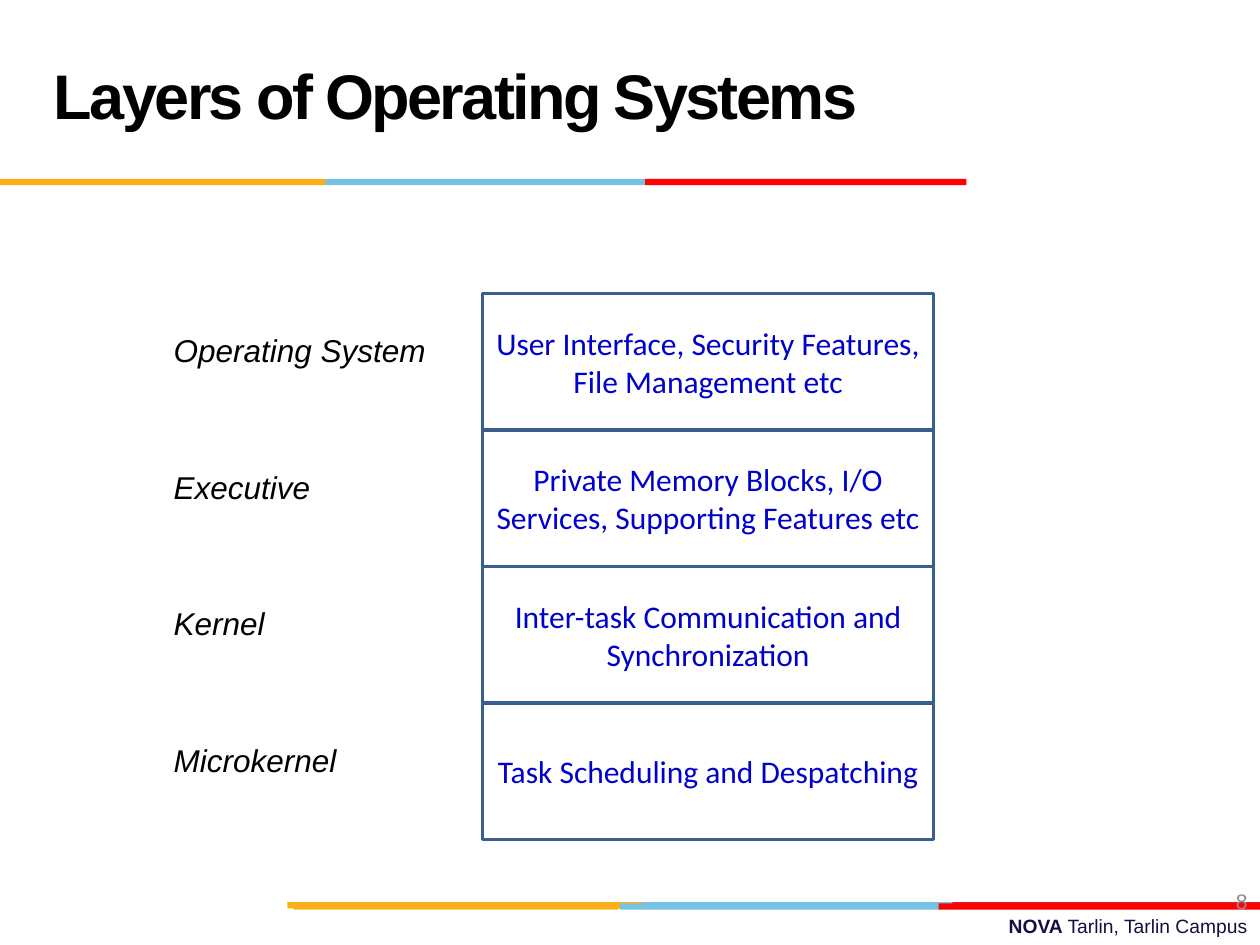
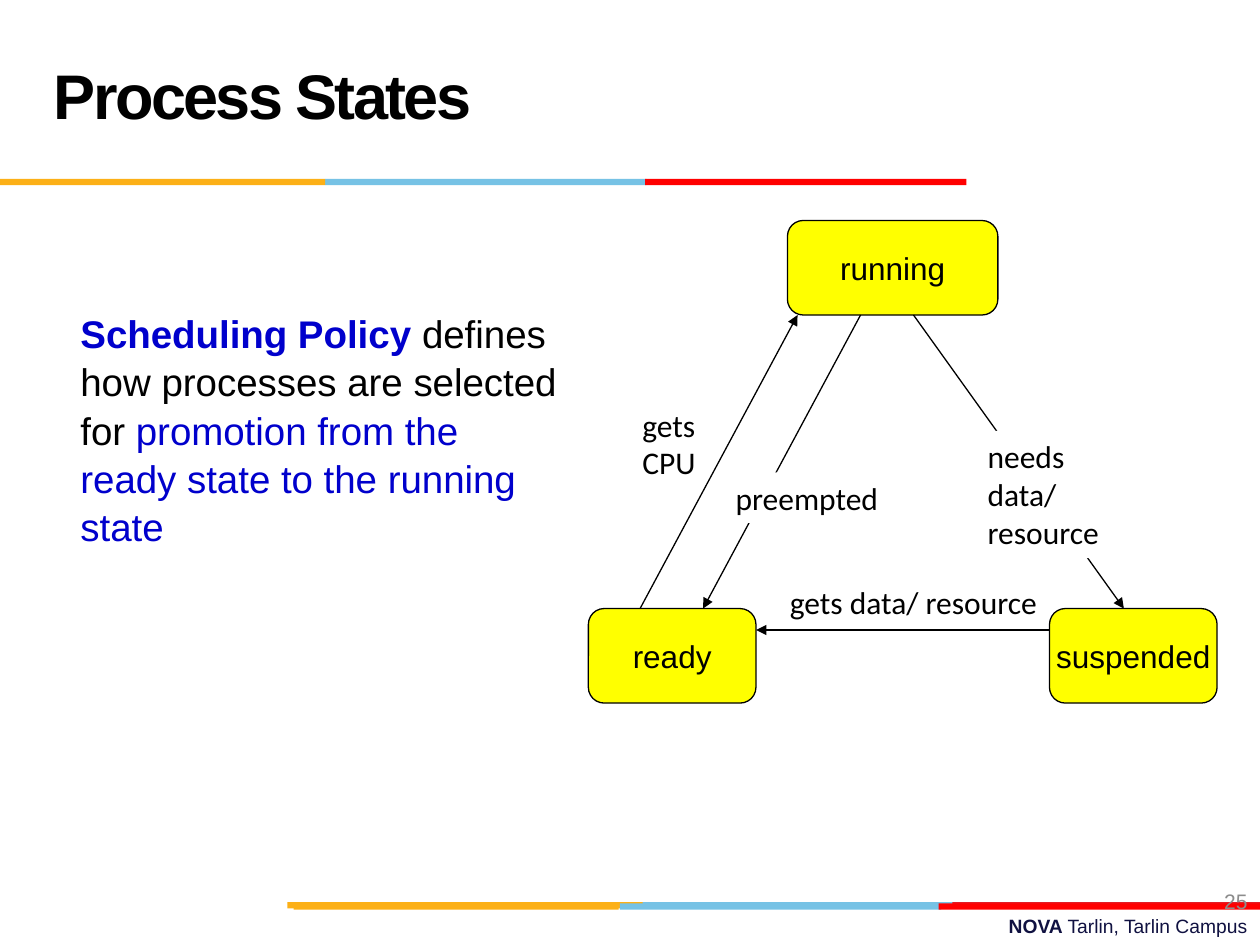
from dataclasses import dataclass

from lxml import etree
from pptx import Presentation
from pptx.dml.color import RGBColor
from pptx.enum import shapes, text
from pptx.oxml import ns
from pptx.util import Inches, Pt


@dataclass(frozen=True)
class Theme:
    # Colours
    black: str = "000000"
    white: str = "FFFFFF"
    gray: str = "8C8C8C"
    navy: str = "101141"
    ink: str = "0000CC"
    edge: str = "3A5F8C"
    gold: str = "FCB017"
    sky: str = "76C2E5"
    red: str = "FF0000"
    brick: str = "E31C24"
    state: str = "FFFF00"
    # Fonts and type sizes
    sans: str = "Arial"
    label: str = "Calibri"
    title: int = 36
    body: int = 22
    note: int = 18
    page: int = 12
    foot: int = 11


T = Theme()
LEFT, MID, RIGHT = text.PP_ALIGN.LEFT, text.PP_ALIGN.CENTER, text.PP_ALIGN.RIGHT


def rgb(code):
    return RGBColor.from_string(code)


def add_run(para, words, size, color=T.black, font=T.sans, bold=False, slant=False):
    run = para.add_run()
    run.text = words
    face = run.font
    face.name, face.size, face.bold, face.italic = font, Pt(size), bold, slant
    face.color.rgb = rgb(color)
    return run


def add_text(slide, box, align=LEFT, wrap=True, middle=False):
    """Add an empty text box and return its shape and first paragraph."""
    shape = slide.shapes.add_textbox(*map(Inches, box))
    frame = shape.text_frame
    frame.word_wrap = wrap
    if middle:
        frame.vertical_anchor = text.MSO_ANCHOR.MIDDLE
    para = frame.paragraphs[0]
    para.alignment = align
    return shape, para


def add_box(slide, kind, box, fill=None, line=None, width=1):
    shape = slide.shapes.add_shape(kind, *map(Inches, box))
    shape.shadow.inherit = False
    if fill:
        shape.fill.solid()
        shape.fill.fore_color.rgb = rgb(fill)
    else:
        shape.fill.background()
    if line:
        shape.line.color.rgb = rgb(line)
        shape.line.width = Pt(width)
    else:
        shape.line.fill.background()
    return shape


def fill_box(shape, words, color, font, wrap=True):
    frame = shape.text_frame
    frame.word_wrap = wrap
    frame.vertical_anchor = text.MSO_ANCHOR.MIDDLE
    para = frame.paragraphs[0]
    para.alignment = MID
    add_run(para, words, T.note, color, font)


def add_bars(slide, top, bars):
    for left, width, color in bars:
        add_box(slide, shapes.MSO_SHAPE.RECTANGLE, (left, top, width, 0.05), color)


def add_arrow(slide, start, end, width=0.75):
    line = slide.shapes.add_connector(
        shapes.MSO_CONNECTOR.STRAIGHT, *map(Inches, (*start, *end)))
    line.line.color.rgb = rgb(T.black)
    line.line.width = Pt(width)
    etree.SubElement(line.line._get_or_add_ln(), ns.qn("a:tailEnd"), type="triangle")
    etree.SubElement(line._element.spPr, ns.qn("a:effectLst"))


def add_label(slide, box, lines, fill=None):
    shape, para = add_text(slide, box, wrap=False)
    if fill:
        shape.fill.solid()
        shape.fill.fore_color.rgb = rgb(fill)
    for i, words in enumerate(lines):
        if i:
            para = shape.text_frame.add_paragraph()
        add_run(para, words, T.note, font=T.label)


def add_state(slide, words, box):
    shape = add_box(slide, shapes.MSO_SHAPE.ROUNDED_RECTANGLE, box,
                    T.state, T.black, 0.75)
    fill_box(shape, words, T.black, T.sans, wrap=False)


def add_base(deck, title, page):
    """Start a slide with the shared footer, bands, title and number."""
    slide = deck.slides.add_slide(deck.slide_layouts[6])

    # Footer
    _, para = add_text(slide, (3.58, 7.21, 6.42, 0.29), RIGHT)
    add_run(para, "NOVA ", T.foot, T.navy, bold=True)
    add_run(para, "Tarlin, Tarlin Campus", T.foot, T.navy)

    # Colour bands
    add_bars(slide, 7.16, [(5.06, 2.55, T.sky), (7.56, 2.44, T.brick),
                           (2.28, 2.82, T.gold)])
    add_bars(slide, 7.17, [(4.92, 2.55, T.sky), (2.33, 2.58, T.gold),
                           (7.45, 2.55, T.red)])
    add_bars(slide, 1.42, [(2.58, 2.55, T.sky), (0, 2.58, T.gold),
                           (5.12, 2.55, T.red)])

    # Title
    _, para = add_text(slide, (0.33, 0.17, 6.92, 1.25), middle=True)
    para.line_spacing = Pt(T.title)
    run = add_run(para, title, T.title, bold=True)
    run.font._element.set("spc", "-150")

    # Slide number
    _, para = add_text(slide, (7.67, 6.95, 2.33, 0.4), RIGHT, middle=True)
    add_run(para, page, T.page, T.gray)
    return slide


def add_layers(deck):
    slide = add_base(deck, "Layers of Operating Systems", "8")
    layers = [
        ("Operating System", 2.22, "User Interface, Security Features, File Management etc"),
        ("Executive", 1.3, "Private Memory Blocks, I/O Services, Supporting Features etc"),
        ("Kernel", 0.93, "Inter-task Communication and Synchronization"),
        ("Microkernel", 1.51, "Task Scheduling and Despatching"),
    ]
    high = 13 / 12
    for i, (name, wide, duty) in enumerate(layers):
        top = 2.33 + i * high
        shape = add_box(slide, shapes.MSO_SHAPE.RECTANGLE, (3.83, top, 3.58, high),
                        line=T.edge, width=2)
        fill_box(shape, duty, T.ink, T.label)
        _, para = add_text(slide, (1.28, top + 0.25, wide, 0.4), wrap=False)
        add_run(para, name, T.note, slant=True)


def add_states(deck):
    slide = add_base(deck, "Process States", "25")

    # Policy statement
    _, para = add_text(slide, (0.54, 2.39, 4, 2))
    para.line_spacing = 1.05
    add_run(para, "Scheduling Policy", T.body, T.ink, bold=True)
    add_run(para, " defines how processes are selected for ", T.body)
    add_run(para, "promotion from the ready state to the running state", T.body, T.ink)

    # States
    low, foot = 4.83, 2.5
    add_state(slide, "running", (6.25, 1.75, 1.67, 0.75))
    add_state(slide, "ready", (4.67, low, 1.33, 0.75))
    add_state(slide, "suspended", (8.33, low, 1.33, 0.75))

    # Transitions, with white labels that break the lines
    add_arrow(slide, (6.83, foot), (5.58, low))
    add_arrow(slide, (5.08, low), (6.33, foot))
    add_arrow(slide, (7.25, foot), (8.92, low))
    add_label(slide, (7.74, 3.42, 1.09, 1.01), ["needs", "data/", "resource"], T.white)
    add_label(slide, (6.17, 4.58, 2.19, 0.4), ["gets data/ resource"])
    add_label(slide, (5.74, 3.75, 1.35, 0.4), ["preempted"], T.white)
    add_label(slide, (5, 3.17, 0.63, 0.71), ["gets", "CPU"])
    add_arrow(slide, (8.33, 5), (6, 5), 1)


def main():
    deck = Presentation()
    deck.slide_width, deck.slide_height = Inches(10), Inches(7.5)
    add_layers(deck)
    add_states(deck)
    deck.save("out.pptx")


if __name__ == "__main__":
    main()
